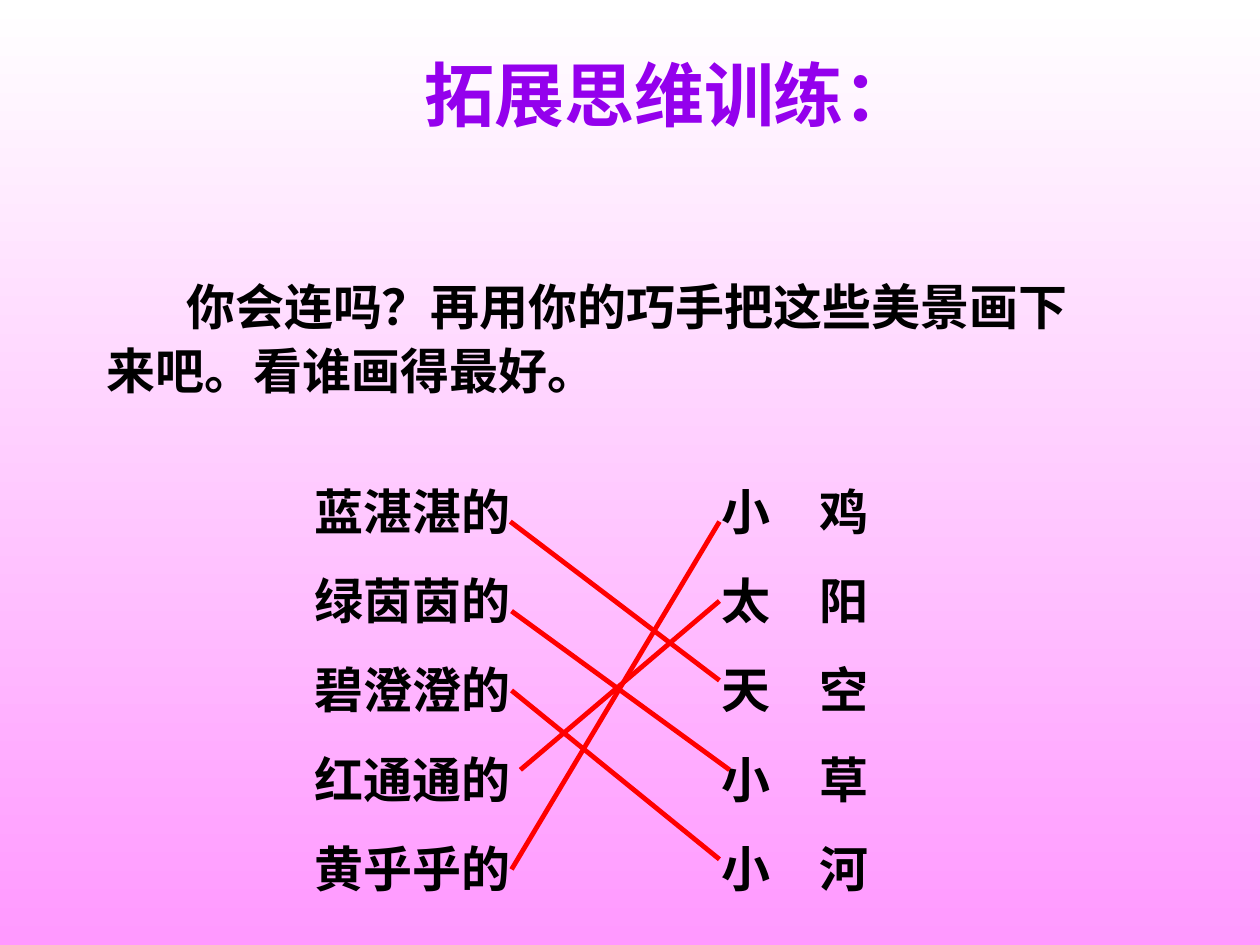
import pptx
import pptx.util
import pptx.dml.color
import pptx.enum.text
import pptx.enum.shapes
import pptx.oxml.ns
import lxml.etree

Inches, Pt = pptx.util.Inches, pptx.util.Pt
RGB = pptx.dml.color.RGBColor.from_string
ALIGN = pptx.enum.text.PP_ALIGN
qn = pptx.oxml.ns.qn

# Content
TITLE = "拓展思维训练："
TASK = "你会连吗？再用你的巧手把这些美景画下来吧。看谁画得最好。"
LEFT = ["蓝湛湛的", "绿茵茵的", "碧澄澄的", "红通通的", "黄乎乎的"]
RIGHT = ["小　鸡", "太　阳", "天　空", "小　草", "小　河"]
LINKS = [  # start x, y and end x, y of each answer line
    (4.05, 4.14, 5.71, 5.40),
    (4.06, 4.85, 5.79, 6.11),
    (4.06, 5.48, 5.71, 6.82),
    (4.13, 6.11, 5.71, 4.77),
    (4.06, 6.90, 5.71, 4.14),
]

THEME = {
    "latin": "Arial", "asian": "Noto Sans CJK JP",
    "title": "9400ED", "text": "000000", "link": "FF0000",
    "top": "FFFFFF", "base": "FF99FF",
    "big": 40, "body": 28, "line": 2.75,
}


def add_text(slide, box, lines, size, color, font, pitch=None, gap=0, wrap=True):
    """Add a bold text box with one paragraph per line."""
    frame = slide.shapes.add_textbox(*map(Inches, box)).text_frame
    frame.word_wrap = wrap
    frame.text = "\n".join(lines)
    for i, para in enumerate(frame.paragraphs):
        if pitch:
            para.line_spacing = Pt(pitch)
        if i:
            para.space_before = Pt(gap)
        for run in para.runs:
            run.font.size, run.font.bold, run.font.name = Pt(size), True, font
            run.font.color.rgb = RGB(color)
            asian = lxml.etree.Element(qn("a:ea"), typeface=THEME["asian"])
            run.font._element.find(qn("a:latin")).addnext(asian)
    return frame


def add_link(slide, ends):
    """Draw one answer line."""
    kind = pptx.enum.shapes.MSO_CONNECTOR.STRAIGHT
    link = slide.shapes.add_connector(kind, *map(Inches, ends))
    link.line.color.rgb = RGB(THEME["link"])
    link.line.width = Pt(THEME["line"])
    lxml.etree.SubElement(link._element.spPr, qn("a:effectLst"))


def main():
    deck = pptx.Presentation()
    deck.slide_width, deck.slide_height = Inches(10), Inches(7.5)
    slide = deck.slides.add_slide(deck.slide_layouts[6])

    # Background, white at the top to pink at the bottom
    fill = slide.background.fill
    fill.gradient()
    fill.gradient_angle = 270
    for stop, place, key in zip(fill.gradient_stops, (0, 1), ("top", "base")):
        stop.position = place
        stop.color.rgb = RGB(THEME[key])

    # Title
    title = add_text(slide, (2.32, 0.36, 5.98, 0.87), [TITLE], THEME["big"],
                     THEME["title"], THEME["asian"], wrap=False)
    title.paragraphs[0].alignment = ALIGN.CENTER

    # Task, with an indented first line
    task = add_text(slide, (0.75, 1.94, 8.19, 1.24), [TASK], THEME["body"],
                    THEME["text"], THEME["latin"], pitch=36.6)
    task.margin_top = Inches(0.21)
    task.paragraphs[0]._p.get_or_add_pPr().set("indent", str(Inches(0.63)))

    # Two columns to match
    for x, words in ((2.4, LEFT), (5.63, RIGHT)):
        add_text(slide, (x, 3.77, 1.81, 3.41), words, THEME["body"],
                 THEME["text"], THEME["latin"], pitch=33.6, gap=17.5)

    # Answer lines
    for ends in LINKS:
        add_link(slide, ends)

    deck.save("out.pptx")


if __name__ == "__main__":
    main()
